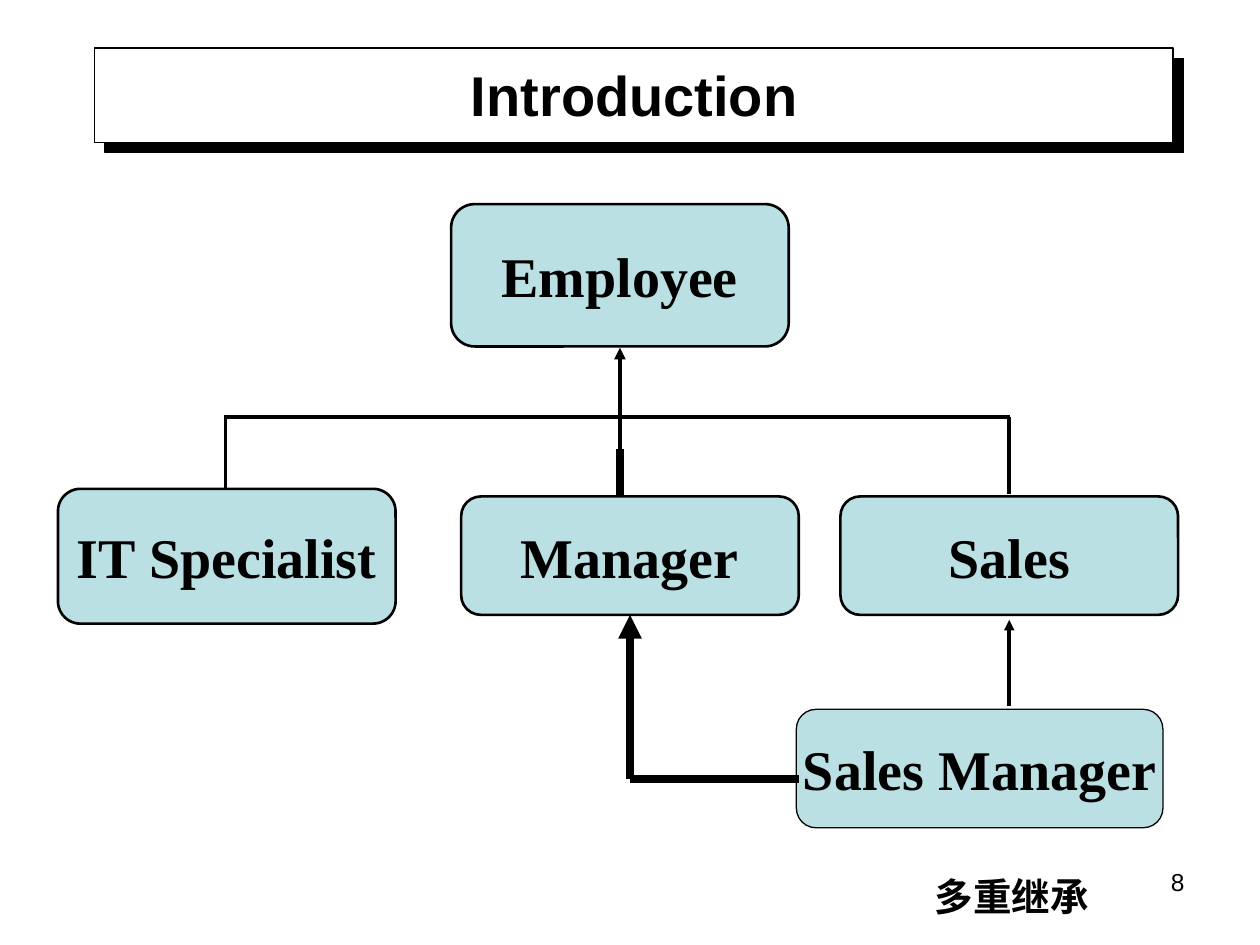
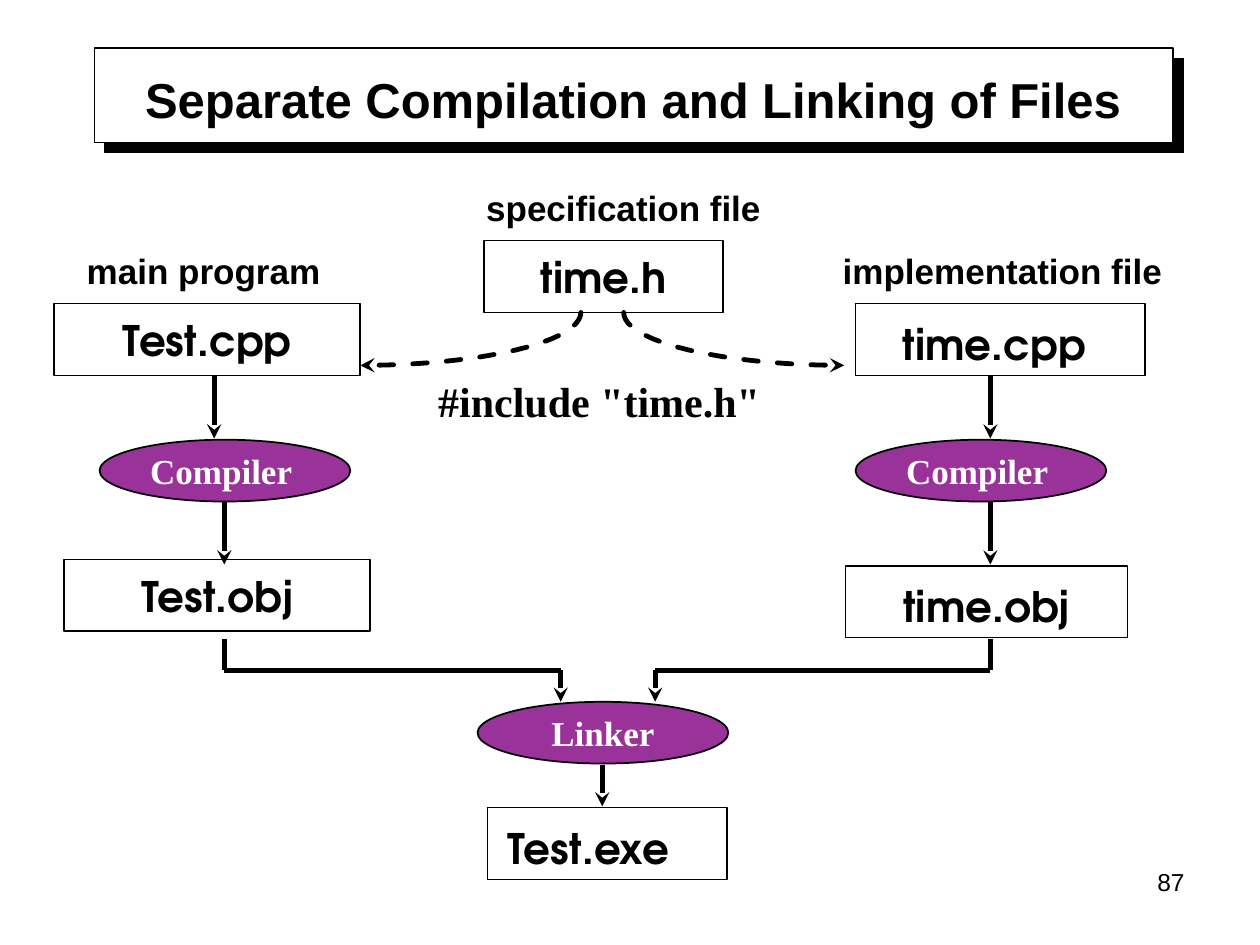
import math

import pptx
import pptx.dml.color
import pptx.enum.dml
import pptx.enum.shapes
import pptx.enum.text
import pptx.oxml.ns
import pptx.oxml.xmlchemy
import pptx.util
from lxml import etree

Inches = pptx.util.Inches
Pt = pptx.util.Pt
qn = pptx.oxml.ns.qn
SHAPE = pptx.enum.shapes.MSO_SHAPE
ALIGN = pptx.enum.text.PP_ALIGN
ANCHOR = pptx.enum.text.MSO_ANCHOR

COLOURS = {"ink": "000000", "paper": "FFFFFF", "class": "BBE0E3", "tool": "800080"}
SANS, SERIF, CODE = "Arial", "Times New Roman", "TeX Gyre Adventor"

# ---- Slide 1: class hierarchy ----
# name, (left, top, width, height), outline width
CLASSES = [
    ("Employee", (3.58, 1.62, 2.68, 1.13), 1.5),
    ("IT Specialist", (0.46, 3.88, 2.68, 1.07), 1.5),
    ("Manager", (3.66, 3.94, 2.68, 0.94), 1.5),
    ("Sales", (6.67, 3.94, 2.68, 0.94), 1.5),
    ("Sales Manager", (6.32, 5.63, 2.91, 0.94), 0.75),
]
# points, line width, arrowhead at the last point
INHERITANCE = [
    ([(1.78, 3.31), (8.02, 3.31)], 2.25, None),
    ([(1.79, 3.87), (1.79, 3.31)], 2.25, None),
    ([(8.01, 3.92), (8.01, 3.31)], 2.25, None),
    ([(4.92, 3.63), (4.92, 2.76)], 2.25, "triangle"),
    ([(4.92, 3.94), (4.92, 3.56)], 4.5, None),
    ([(8.01, 5.6), (8.01, 4.92)], 2, "triangle"),
    ([(6.34, 6.18), (5, 6.18), (5, 4.88)], 4.5, "triangle"),
]
CAPTION = ("多重继承", (7.32, 6.88, 1.42, 0.47), 22, SANS)

# ---- Slide 2: compilation and linking ----
FILE_HEIGHT = 0.57
# name, left, top, width, (right, down) shift of the text
FILES = [
    ("time.h", 3.84, 1.91, 1.9, (0, 0)),
    ("Test.cpp", 0.43, 2.41, 2.43, (0, 0)),
    ("time.cpp", 6.79, 2.41, 2.3, (-0.05, 0.03)),
    ("Test.obj", 0.51, 4.44, 2.43, (0, 0)),
    ("time.obj", 6.71, 4.49, 2.24, (0, 0.03)),
    ("Test.exe", 3.87, 6.41, 1.9, (-0.15, 0.03)),
]
TOOL_SIZE = (1.99, 0.49)
TOOLS = [
    ("Compiler", 0.79, 3.49, (-0.03, 0)),
    ("Compiler", 6.79, 3.49, (-0.03, 0)),
    ("Linker", 3.79, 5.57, (0, 0)),
]
BUILD_STEPS = [
    [(1.7, 2.98), (1.7, 3.48)],
    [(7.86, 2.98), (7.86, 3.48)],
    [(1.78, 3.98), (1.78, 4.48)],
    [(7.86, 3.98), (7.86, 4.48)],
    [(1.78, 5.07), (1.78, 5.32), (4.45, 5.32), (4.45, 5.57)],
    [(7.86, 5.07), (7.86, 5.32), (5.2, 5.32), (5.2, 5.57)],
    [(4.78, 6.07), (4.78, 6.4)],
]
INCLUDES = [((4.61, 2.48), (2.86, 2.9)), ((4.95, 2.48), (6.7, 2.9))]
FILE_LABELS = [
    ("main program", (0.59, 1.93, 2.06, 0.43), 20, SANS),
    ("specification file", (3.76, 1.43, 2.38, 0.43), 20, SANS),
    ("implementation file", (6.59, 1.93, 2.74, 0.43), 20, SANS),
    ('#include "time.h"', (3.38, 2.93, 3.4, 0.5), 24, SERIF),
]


def rgb(name):
    return pptx.dml.color.RGBColor.from_string(COLOURS[name])


def add_xml(parent, tag, **attributes):
    return etree.SubElement(parent, qn(tag), attributes)


def write(frame, text, size, font, colour="ink", bold=True, align=ALIGN.CENTER):
    frame.text = text
    para = frame.paragraphs[0]
    para.alignment = align
    style = para.runs[0].font
    style.size, style.name, style.bold = Pt(size), font, bold
    style.color.rgb = rgb(colour)


def set_line(shape, width, arrow=None, dash=None):
    shape.line.color.rgb = rgb("ink")
    shape.line.width = Pt(width)
    if dash:
        shape.line.dash_style = dash
    if arrow:
        add_xml(shape._element.spPr.find(qn("a:ln")), "a:tailEnd", type=arrow)


def add_box(page, kind, place, fill, width):
    box = page.shapes.add_shape(kind, *map(Inches, place))
    box.shadow.inherit = False
    if fill:
        box.fill.solid()
        box.fill.fore_color.rgb = rgb(fill)
    else:
        box.fill.background()
    set_line(box, width)
    return box


def add_node(page, kind, place, text, size, font, fill=None, width=1,
             colour="ink", shift=(0, 0)):
    """Box with centred text, moved by shift through the margins."""
    box = add_box(page, kind, place, fill, width)
    right, down = shift
    frame = box.text_frame
    frame.word_wrap = False
    frame.vertical_anchor = ANCHOR.MIDDLE
    frame.margin_left = Inches(max(0, 2 * right))
    frame.margin_right = Inches(max(0, -2 * right))
    frame.margin_top, frame.margin_bottom = Inches(2 * down), 0
    write(frame, text, size, font, colour)
    return box


def add_label(page, text, place, size, font, bold=True, align=ALIGN.LEFT):
    frame = page.shapes.add_textbox(*map(Inches, place)).text_frame
    frame.word_wrap = True
    write(frame, text, size, font, bold=bold, align=align)


def add_route(page, points, width, arrow):
    """Straight connectors through the points, arrowhead on the last one."""
    for start, end in zip(points, points[1:]):
        connector = page.shapes.add_connector(
            pptx.enum.shapes.MSO_CONNECTOR.STRAIGHT, *map(Inches, start + end))
        set_line(connector, width, arrow if end == points[-1] else None)
        add_xml(connector._element.spPr, "a:effectLst")


def add_include_arc(page, start, end, steps=24):
    """Dashed quarter ellipse that leaves downwards and ends level."""
    (x, y), (end_x, end_y) = start, end
    angles = [math.pi / 2 * step / steps for step in range(1, steps + 1)]
    points = [(Inches(x + (end_x - x) * (1 - math.cos(angle))),
               Inches(y + (end_y - y) * math.sin(angle))) for angle in angles]
    builder = page.shapes.build_freeform(Inches(x), Inches(y))
    builder.add_line_segments(points, close=False)
    arc = builder.convert_to_shape()
    arc.shadow.inherit = False
    arc.fill.background()
    set_line(arc, 2.75, "stealth", pptx.enum.dml.MSO_LINE.DASH)
    arc._element.spPr.find(qn("a:ln")).set("cap", "rnd")


def add_page(deck, title, place, size, anchor, number):
    """Slide with the shadowed title band and the page number."""
    page = deck.slides.add_slide(deck.slide_layouts[5])
    band = add_box(page, SHAPE.RECTANGLE, (0.75, 0.38, 8.56, 0.75), "paper", 0.75)
    effects = band._element.spPr.find(qn("a:effectLst"))
    shadow = add_xml(effects, "a:outerShdw", dist=str(Pt(8.5)), dir="2700000",
                     algn="ctr", rotWithShape="0")
    add_xml(shadow, "a:srgbClr", val=COLOURS["ink"])
    heading = page.shapes.title
    heading._element.addprevious(band._element)
    heading.left, heading.top, heading.width, heading.height = map(Inches, place)
    frame = heading.text_frame
    frame.word_wrap = True
    frame.auto_size = pptx.enum.text.MSO_AUTO_SIZE.NONE
    frame.vertical_anchor = anchor
    write(frame, title, size, SANS)
    add_label(page, number, (7.17, 6.83, 2.33, 0.52), 14, SANS, False, ALIGN.RIGHT)
    return page


def build_hierarchy(deck):
    page = add_page(deck, "Introduction", (0.75, 0.37, 8.57, 0.75), 32,
                    ANCHOR.MIDDLE, "8")
    for name, place, width in CLASSES:
        add_node(page, SHAPE.ROUNDED_RECTANGLE, place, name, 32, SERIF, "class", width)
    for points, width, arrow in INHERITANCE:
        add_route(page, points, width, arrow)
    add_label(page, *CAPTION)


def build_compilation(deck):
    page = add_page(deck, "Separate Compilation and Linking of Files",
                    (0.78, 0.44, 8.49, 0.63), 28, ANCHOR.BOTTOM, "87")
    for name, left, top, width, shift in FILES:
        add_node(page, SHAPE.RECTANGLE, (left, top, width, FILE_HEIGHT), name, 24,
                 CODE, shift=shift)
    for name, left, top, shift in TOOLS:
        tool = add_node(page, SHAPE.OVAL, (left, top, *TOOL_SIZE), name, 20, SERIF,
                        "tool", colour="paper", shift=shift)
        fill = tool._element.spPr.find(qn("a:solidFill"))
        add_xml(fill[0], "a:alpha", val="80000")
    for points in BUILD_STEPS:
        add_route(page, points, 2.75, "stealth")
    for start, end in INCLUDES:
        add_include_arc(page, start, end)
    for label in FILE_LABELS:
        add_label(page, *label)


def main():
    deck = pptx.Presentation()
    deck.slide_width, deck.slide_height = Inches(10), Inches(7.5)
    build_hierarchy(deck)
    build_compilation(deck)
    deck.save("out.pptx")


if __name__ == "__main__":
    main()
